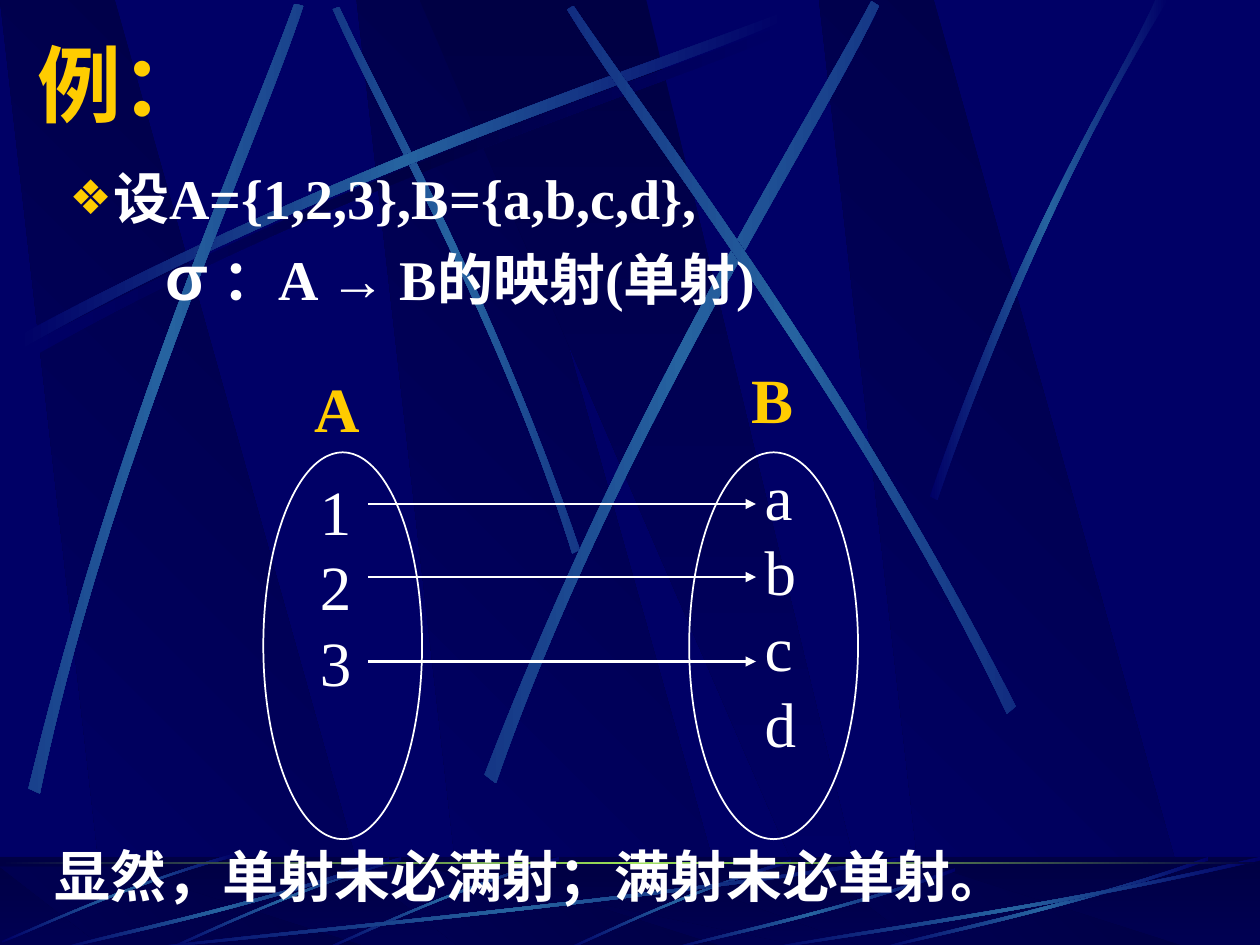
import math
from lxml import etree
from pptx import Presentation
from pptx import util as u
from pptx.dml.color import RGBColor
from pptx.enum import shapes, text
from pptx.oxml import parse_xml
from pptx.oxml.ns import nsdecls, qn

COLORS = {"base": "000066", "dark": "000044", "streak": "2663A0",
          "horizon": "9CE157", "gold": "FFCC00", "white": "FFFFFF"}
WIDTH, HEIGHT = 10, 7.5
SERIF = "Times New Roman"

# Content
TITLE = "例："
BODY = [  # runs as (text, font, size), left margin, first-line indent, space before, bullet
    ([("设A={1,2,3},B={a,b,c,d},", SERIF, 32)], 0.47, -0.35, 0, "❖"),
    ([("σ", "Arial", 36), (" ：A ", SERIF, 32), ("→", "Arial", 32),
      (" B的映射(单射)", SERIF, 32)], 0.88, 0, 8, None),
    ([("显然，单射未必满射；满射未必单射。", SERIF, 32)], 0, 0, 306, None),
]
LABELS = [  # lines, left, top, width, height, colour, bold
    (["1", "2", "3"], 2.44, 3.7, 0.45, 1.9, "white", False),
    (["a", "b", "c", "d"], 5.97, 3.58, 0.45, 2.5, "white", False),
    (["A"], 2.4, 2.88, 0.56, 0.7, "gold", True),
    (["B"], 5.87, 2.81, 0.53, 0.7, "gold", True),
]
ARROW_ENDS, ARROW_ROWS = (2.92, 6), (4, 4.58, 5.25)
SETS = [(2.09, 1.26), (5.47, 1.34)]  # left, width
SET_TOP, SET_HEIGHT = 3.59, 3.07

# Background: panels as shares of the band height; streaks as two curved edges
SLANT = [(0.86, 1), (3.02, 1), (0.91, 0), (0, 0)]
WEDGE = [(3.33, 0), (6.58, 1), (6.94, 1), (5.13, 0)]
SLANT_LEFTS = (2.83, 0, 6.5)
FLOOR = 6.8
UPPER_STREAKS = [  # rotation, middle colour, edge out, edge back
    (0, "dark", [(0.2, 2.75), (2.84, 1.34), (5.24, 0.59), (6.26, 0.18)],
     [(6.29, 0.24), (5.28, 0.69), (2.54, 1.51), (0.23, 2.85)]),
    (45, "streak", [(4.6, 4.36), (3.91, 2.34), (3.02, 0.77), (2.69, 0.05)],
     [(2.64, 0.07), (2.95, 0.79), (3.98, 2.58), (4.54, 4.39)]),
    (0, "streak", [(0.14, 2.67), (2.78, 1.25), (5.18, 0.51), (6.2, 0.1)],
     [(6.23, 0.16), (5.22, 0.61), (2.48, 1.43), (0.17, 2.77)]),
    (311.7, "streak", [(0.23, 6.25), (0.93, 3.34), (1.97, 1.05), (2.34, 0.02)],
     [(2.41, 0.04), (2.07, 1.09), (0.86, 3.68), (0.32, 6.29)]),
    (321.6, "streak", [(3.85, 6.14), (4.98, 3.2), (6.38, 1.02), (6.92, 0)],
     [(6.98, 0.04), (6.49, 1.08), (4.86, 3.55), (3.94, 6.21)]),
    (34.8, "streak", [(8.06, 5.6), (6.7, 2.93), (5.16, 0.95), (4.55, 0.04)],
     [(4.5, 0.07), (5.07, 1.01), (6.85, 3.25), (7.99, 5.66)]),
    (0, "streak", [(7.38, 3.94), (8.14, 1.73), (8.88, 0.66), (9.17, 0)],
     [(9.27, 0), (8.36, 1.45), (7.69, 3.22), (7.44, 3.97)]),
]
RAY = [(1, 0.04), (0.57, 0.57), (0.17, 0.85), (0, 1)], [(0, 0.99), (0.16, 0.81), (0.62, 0.5), (1, 0)]
SHORT_RAY = [(1, 0), (0.52, 0.36), (0.15, 0.82), (0, 0.98)], [(0, 1), (0.16, 0.84), (0.58, 0.31), (1, 0.04)]
FLOOR_RAYS = [  # rotation, shape, left, top, width, height
    (0, SHORT_RAY, 4.48, 6.82, 1.8, 0.73), (314.9, SHORT_RAY, 2.56, 6.8, 1.88, 0.75),
    (314.9, SHORT_RAY, 1.31, 6.8, 1.88, 0.75), (314.9, SHORT_RAY, 0.02, 6.77, 1.85, 0.71),
    (0, RAY, 1, 6.8, 6.17, 0.75), (0, RAY, 0.42, 6.8, 2.67, 0.75),
    (0, RAY, 5.27, 6.89, 2.31, 0.66), (0, RAY, 6.92, 6.8, 2.67, 0.75),
    (0, RAY, 6, 6.8, 4, 0.75),
]

presentation = Presentation()
presentation.slide_width, presentation.slide_height = u.Inches(WIDTH), u.Inches(HEIGHT)
slide = presentation.slides.add_slide(presentation.slide_layouts[1])
slide.background.fill.solid()
slide.background.fill.fore_color.rgb = RGBColor.from_string(COLORS["base"])


def inches(*values):
    return [u.Inches(value) for value in values]


def format_font(font, **values):
    font.color.rgb = RGBColor.from_string(COLORS[values.pop("color")])
    for name, value in values.items():
        setattr(font, name, value)


def set_gradient(shape, names, angle):
    """Spread the named colours evenly, keeping the angle fixed to the page."""
    shape.shadow.inherit = False
    shape.line.fill.background()
    stops = "".join(
        f'<a:gs pos="{100000 * i // (len(names) - 1)}"><a:srgbClr val="{COLORS[name]}"/></a:gs>'
        for i, name in enumerate(names))
    shape.element.spPr.find(qn("a:ln")).addprevious(parse_xml(
        f'<a:gradFill {nsdecls("a")} rotWithShape="0"><a:gsLst>{stops}</a:gsLst>'
        f'<a:lin ang="{angle * 60000}" scaled="1"/></a:gradFill>'))


def add_outline(points, names, angle, rotation=0):
    """Draw a polygon whose points are where they end up after rotation."""
    xs, ys = zip(*points)
    middle_x, middle_y = (min(xs) + max(xs)) / 2, (min(ys) + max(ys)) / 2
    cos, sin = math.cos(math.radians(rotation)), math.sin(math.radians(rotation))
    turned = [inches(middle_x + (x - middle_x) * cos + (y - middle_y) * sin,
                     middle_y - (x - middle_x) * sin + (y - middle_y) * cos) for x, y in points]
    builder = slide.shapes.build_freeform(*turned[0])
    builder.add_line_segments(turned[1:], close=True)
    shape = builder.convert_to_shape()
    shape.rotation = rotation
    set_gradient(shape, names, angle)
    return shape


def add_panels(top, height):
    outlines = [([(left + x, y) for x, y in SLANT], 135) for left in SLANT_LEFTS]
    for outline, angle in outlines + [(WEDGE, 90)]:
        add_outline([(x, top + y * height) for x, y in outline], ("dark", "base"), angle)


def add_streak(rotation, middle, out, back):
    """Draw both edges, then turn each edge's three segments into one curve."""
    shape = add_outline(out + back, ("base", middle, "base"), 180, rotation)
    segments = list(shape.element.iter(qn("a:lnTo")))
    for edge in (segments[:3], segments[4:7]):
        bend = etree.Element(qn("a:cubicBezTo"))
        edge[0].addprevious(bend)
        for segment in edge:
            bend.append(segment[0])
            segment.getparent().remove(segment)


def add_bar(top, height):
    return slide.shapes.add_shape(shapes.MSO_SHAPE.RECTANGLE, *inches(0, top, WIDTH, height))


# Backdrop
add_panels(0, 7.52)
for streak in UPPER_STREAKS:
    add_streak(*streak)
set_gradient(add_bar(FLOOR, 0.75), ("dark", "base"), 90)
add_panels(6.88, 0.67)
veil = add_bar(FLOOR, 0.75)
veil.shadow.inherit = False
veil.line.fill.background()
veil.fill.solid()
veil.fill.fore_color.rgb = RGBColor.from_string(COLORS["dark"])
etree.SubElement(veil.element.spPr.find(".//" + qn("a:srgbClr")), qn("a:alpha"), val="50000")
for rotation, edges, left, top, width, height in FLOOR_RAYS:
    add_streak(rotation, "streak", *[[(left + x * width, top + y * height) for x, y in edge]
                                     for edge in edges])
set_gradient(add_bar(6.84, 0.02), ("dark", "horizon", "dark"), 180)

# Title and body, brought in front of the backdrop
title, body = slide.shapes.title, slide.placeholders[1]
for shape, box, anchor in ((body, (0.33, 1.31, 9.47, 6.19), text.MSO_ANCHOR.TOP),
                           (title, (0.2, 0.21, 8.5, 0.9), text.MSO_ANCHOR.MIDDLE)):
    shape.left, shape.top, shape.width, shape.height = inches(*box)
    shape.text_frame.vertical_anchor = anchor
    shape.text_frame.auto_size = text.MSO_AUTO_SIZE.NONE
    shape.element.getparent().append(shape.element)
title.text_frame.text = TITLE
paragraph = title.text_frame.paragraphs[0]
paragraph.alignment = text.PP_ALIGN.LEFT
format_font(paragraph.runs[0].font, name="Montserrat", size=u.Pt(48), bold=True, color="gold")

for i, (runs, margin, indent, before, bullet) in enumerate(BODY):
    paragraph = body.text_frame.add_paragraph() if i else body.text_frame.paragraphs[0]
    paragraph.alignment = text.PP_ALIGN.JUSTIFY
    paragraph.line_spacing, paragraph.space_before = 0.9, u.Pt(before)
    properties = paragraph._p.get_or_add_pPr()
    properties.set("marL", str(u.Inches(margin)))
    properties.set("indent", str(u.Inches(indent)))
    if bullet:
        color = etree.SubElement(properties, qn("a:buClr"))
        etree.SubElement(color, qn("a:srgbClr"), val=COLORS["gold"])
        etree.SubElement(properties, qn("a:buSzPct"), val="85000")
        etree.SubElement(properties, qn("a:buChar"), char=bullet)
    else:
        etree.SubElement(properties, qn("a:buNone"))
    for words, name, size in runs:
        run = paragraph.add_run()
        run.text = words
        format_font(run.font, name=name, size=u.Pt(size), bold=True, color="white")

# Set names and elements
for lines, left, top, width, height, color, bold in LABELS:
    frame = slide.shapes.add_textbox(*inches(left, top, width, height)).text_frame
    frame.word_wrap, frame.auto_size = False, text.MSO_AUTO_SIZE.SHAPE_TO_FIT_TEXT
    frame.text = "\n".join(lines)
    for paragraph in frame.paragraphs:
        format_font(paragraph.runs[0].font, name=SERIF, size=u.Pt(36), bold=bold, color=color)

# Mapping arrows
for row in ARROW_ROWS:
    arrow = slide.shapes.add_connector(shapes.MSO_CONNECTOR.STRAIGHT,
                                       *inches(ARROW_ENDS[0], row, ARROW_ENDS[1], row))
    arrow.line.color.rgb = RGBColor.from_string(COLORS["white"])
    arrow.line.width = u.Pt(1.5)
    etree.SubElement(arrow.line._get_or_add_ln(), qn("a:tailEnd"), type="triangle")
    etree.SubElement(arrow.element.spPr, qn("a:effectLst"))

# Set outlines
for left, width in SETS:
    oval = slide.shapes.add_shape(shapes.MSO_SHAPE.OVAL, *inches(left, SET_TOP, width, SET_HEIGHT))
    oval.shadow.inherit = False
    oval.fill.background()
    oval.line.color.rgb = RGBColor.from_string(COLORS["white"])
    oval.line.width = u.Pt(1)

presentation.save("out.pptx")
